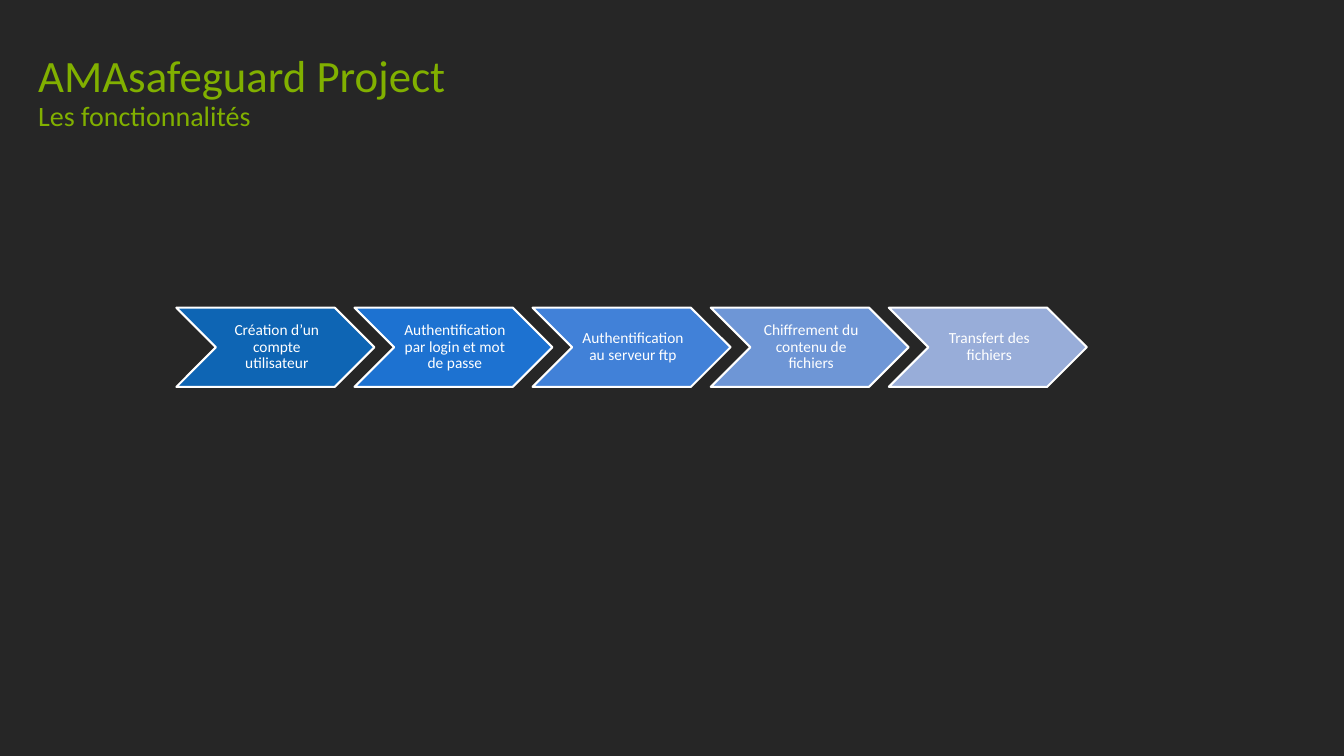
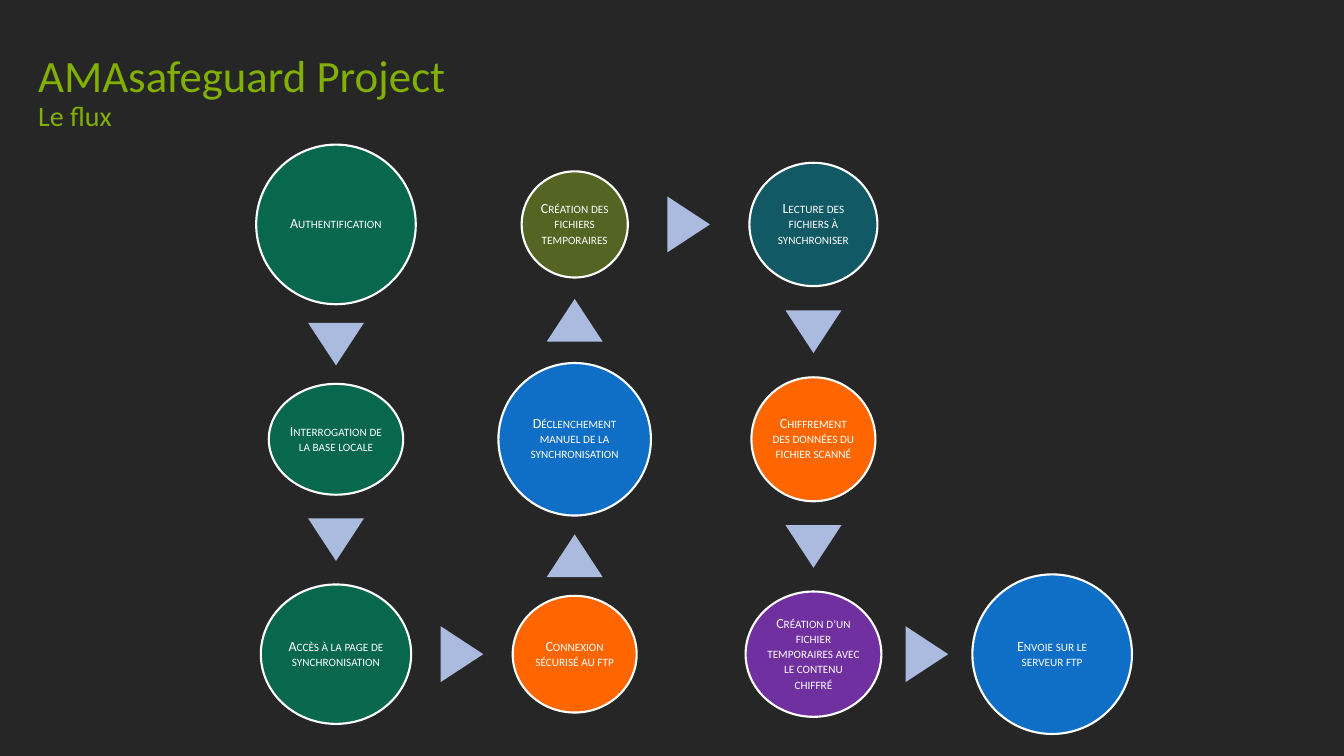
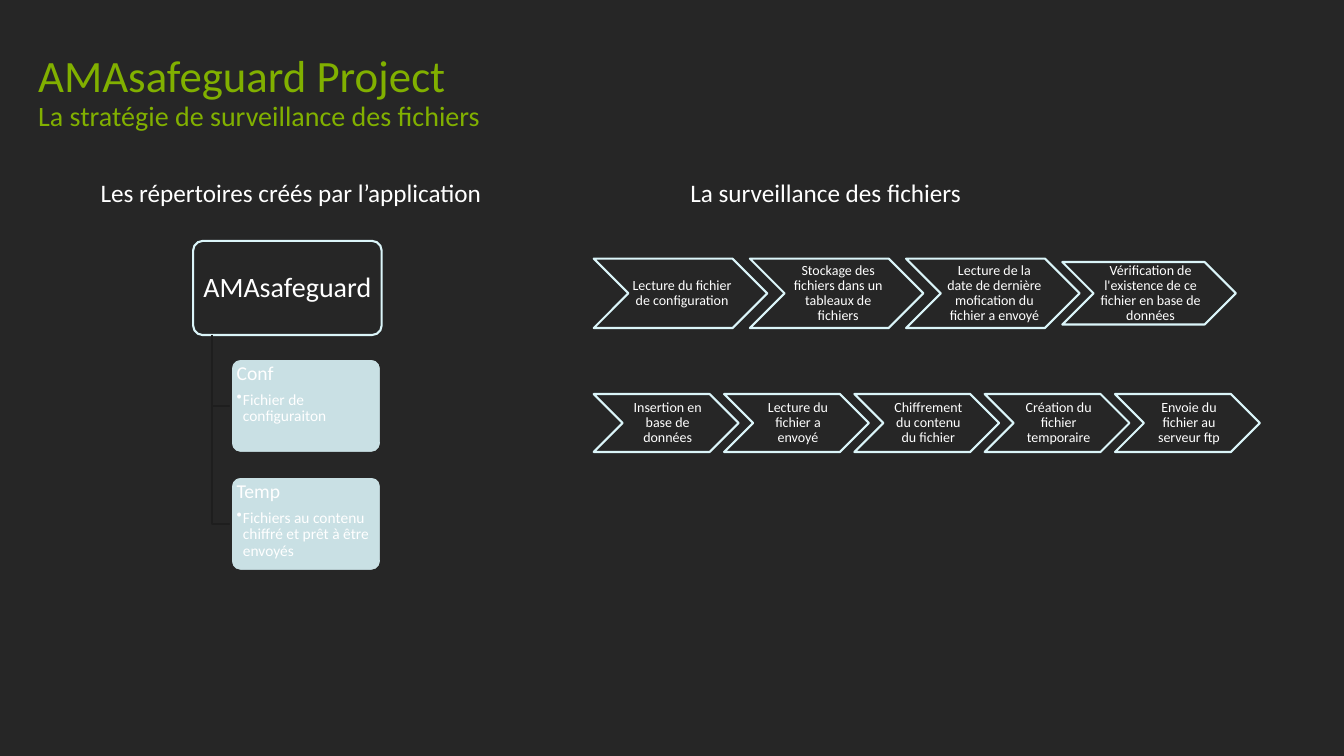
from dataclasses import dataclass
from lxml.etree import SubElement
from pptx import Presentation
from pptx.dml.color import RGBColor
from pptx.enum.shapes import MSO_SHAPE as Preset
from pptx.enum.text import MSO_ANCHOR as Anchor, PP_ALIGN as Align
from pptx.oxml.ns import qn
from pptx.oxml.xmlchemy import OxmlElement
from pptx.util import Pt


@dataclass(frozen=True)
class Theme:
    font: str = "Calibri"
    background: str = "262626"
    title: str = "81B000"
    white: str = "FFFFFF"
    ice: str = "DBF5F9"
    elbow: str = "1E1E1E"
    arrow: str = "ABBBDF"
    green: str = "08684E"
    orange: str = "FF6600"
    blue: str = "0F6FC6"
    olive: str = "546422"
    teal: str = "115964"
    purple: str = "7030A0"
    blues: tuple = ("0E65B4", "1D72D1", "4181D8", "6E96D6", "98ADD9")
    title_size: int = 32
    large_size: int = 20
    heading_size: int = 18
    folder_size: int = 14
    body_size: int = 11
    small_size: int = 10
    line_width: float = 1.5


theme = Theme()
presentation = Presentation()
presentation.slide_width, presentation.slide_height = Pt(960), Pt(540)
cell = presentation.slide_width // 80


def draw(slide, preset, center, size, fill, line=None):
    (x, y), (width, height) = center, size
    box = (x - width / 2, y - height / 2, width, height)
    shape = slide.shapes.add_shape(preset, *(round(cell * value) for value in box))
    shape.shadow.inherit = False
    shape.fill.solid()
    shape.fill.fore_color.rgb = RGBColor.from_string(fill)
    if line:
        shape.line.color.rgb = RGBColor.from_string(line)
        shape.line.width = Pt(theme.line_width)
    else:
        shape.line.fill.background()
    return shape


def write(shape, lines, insets, align=Align.CENTER, anchor=Anchor.MIDDLE, color=theme.white, spacing=0.9):
    frame = shape.text_frame
    frame.word_wrap = True
    frame.vertical_anchor = anchor
    left, right, vertical = (round(cell * inset) for inset in insets)
    frame.margin_left, frame.margin_right = left, right
    frame.margin_top = frame.margin_bottom = vertical
    for index, (text, size) in enumerate(lines):
        paragraph = frame.add_paragraph() if index else frame.paragraphs[0]
        paragraph.text = text
        paragraph.alignment = align
        paragraph.line_spacing = spacing
        paragraph.space_after = Pt(round(size * 0.35))
        paragraph.font.name = theme.font
        paragraph.font.size = Pt(size)
        paragraph.font.color.rgb = RGBColor.from_string(color)
    return frame.paragraphs


text_box_insets = (0.6, 0.6, 0.3)
slides = []
for subtitle in ("Les fonctionnalités", "Le flux", "La stratégie de surveillance des fichiers"):
    slide = presentation.slides.add_slide(presentation.slide_layouts[6])
    slide.background.fill.solid()
    slide.background.fill.fore_color.rgb = RGBColor.from_string(theme.background)
    title = slide.shapes.add_textbox(*(round(cell * value) for value in (1.68, 2.46, 38.8, 6.12)))
    paragraph = write(title, [("AMAsafeguard Project", theme.title_size)], text_box_insets,
                      align=Align.LEFT, color=theme.title)[0]
    paragraph.space_after = Pt(0)
    paragraph.add_line_break()
    run = paragraph.add_run()
    run.text = subtitle
    run.font.size = Pt(theme.large_size)
    slides.append(slide)
features_slide, flow_slide, watch_slide = slides

flow_columns = [20 + 14.21 * index for index in range(4)]
flow_rows = [13.36 + 12.79 * index for index in range(3)]
steps = [
    (0, 0, 9.5, 9.5, theme.green, "Authentification"),
    (0, 1, 8, 6.6, theme.green, "Interrogation de la base locale"),
    (0, 2, 8.95, 8.3, theme.green, "Accès à la page de synchronisation"),
    (1, 2, 7.38, 6.95, theme.orange, "Connexion sécurisé au ftp"),
    (1, 1, 9.08, 9.08, theme.blue, "Déclenchement manuel de la synchronisation"),
    (1, 0, 6.32, 6.32, theme.olive, "Création des fichiers temporaires"),
    (2, 0, 7.62, 7.34, theme.teal, "Lecture des fichiers à synchroniser"),
    (2, 1, 7.38, 7.38, theme.orange, "Chiffrement des données du fichier scanné"),
    (2, 2, 8.08, 7.46, theme.purple, "Création d’un fichier temporaires avec le contenu chiffré"),
    (3, 2, 9.5, 9.5, theme.blue, "Envoie sur le serveur ftp"),
]
rotations = {(0, 1): 180, (1, 0): 90, (0, -1): 0}
previous = None
for column, row, width, height, fill, text in steps:
    x, y = flow_columns[column], flow_rows[row]
    if previous:
        last_column, last_row, last_width, last_height = previous
        across, down = column - last_column, row - last_row
        middle = ((flow_columns[last_column] + x + across * (last_width - width) / 2) / 2,
                  (flow_rows[last_row] + y + down * (last_height - height) / 2) / 2)
        arrow = draw(flow_slide, Preset.ISOSCELES_TRIANGLE, middle, (3.33, 2.54), theme.arrow)
        arrow.rotation = rotations[across, down]
    circle = draw(flow_slide, Preset.OVAL, (x, y), (width, height), fill, theme.white)
    paragraph = write(circle, [(text, theme.small_size)], (0.06, 0.06, 0.06))[0]
    paragraph.runs[0]._r.get_or_add_rPr().set("cap", "small")
    previous = column, row, width, height

root_left, root_top, root_width, folder_height = 11.5, 14.34, 11.22, 5.6
folder_left, folder_width, folder_pitch = 13.74, 8.94, 7.02
root = draw(watch_slide, Preset.ROUNDED_RECTANGLE,
            (root_left + root_width / 2, root_top + folder_height / 2),
            (root_width, folder_height), theme.background, theme.ice)
root.adjustments[0] = 0.1
write(root, [("AMAsafeguard", theme.large_size)], (0.2, 0.2, 0.18))
folders = [("Conf", "Fichier de configuraiton"),
           ("Temp", "Fichiers au contenu chiffré et prêt à être envoyés")]
for index, (name, content) in enumerate(folders, 1):
    middle = root_top + index * folder_pitch + folder_height / 2
    trunk = root_left + root_width / 10
    start, corner, end = [(round(cell * x), round(cell * y)) for x, y in (
        (trunk, root_top + folder_height), (trunk, middle), (folder_left, middle))]
    builder = watch_slide.shapes.build_freeform(*start)
    builder.add_line_segments([corner, end], close=False)
    elbow = builder.convert_to_shape()
    elbow.shadow.inherit = False
    elbow.fill.background()
    elbow.line.color.rgb = RGBColor.from_string(theme.elbow)
    elbow.line.width = Pt(theme.line_width)

    folder = draw(watch_slide, Preset.ROUNDED_RECTANGLE, (folder_left + folder_width / 2, middle),
                  (folder_width, folder_height), theme.ice, theme.background)
    folder.adjustments[0] = 0.1
    color = folder._element.spPr.find(qn("a:solidFill")).find(qn("a:srgbClr"))
    SubElement(color, qn("a:alpha")).set("val", "90000")
    bullet = write(folder, [(name, theme.folder_size), (content, theme.body_size)],
                   (0.18, 0.18, 0.12), align=Align.LEFT, anchor=Anchor.TOP)[1]
    bullet.level = 1
    properties = bullet._p.get_or_add_pPr()
    indent = round(cell * 0.38)
    properties.set("marL", str(indent))
    properties.set("indent", str(-indent))
    mark = OxmlElement("a:buChar")
    mark.set("char", "•")
    properties.find(qn("a:defRPr")).addprevious(mark)

for left, heading in ((5.4, "Les répertoires créés par l’application"), (40.5, "La surveillance des fichiers")):
    box = watch_slide.shapes.add_textbox(*(round(cell * value) for value in (left, 10.26, 25.44, 2.4)))
    write(box, [(heading, theme.heading_size)], text_box_insets,
          align=Align.LEFT, anchor=Anchor.TOP, spacing=1.0)[0].space_after = Pt(0)

dark = (theme.background,) * 5
chevron_rows = [
    (features_slide, 10.5, 20.67, 11.78, theme.blues, theme.white, theme.body_size, (0.3, 0.12, 0.12),
     [("Création d’un compte utilisateur", 0.4),
      ("Authentification par login et mot de passe", 0.4),
      ("Authentification au serveur ftp", 0.4),
      ("Chiffrement du contenu de fichiers", 0.4),
      ("Transfert des fichiers", 0.4)]),
    (watch_slide, 35.34, 17.46, 10.33, dark, theme.ice, theme.small_size, (0.24, 0.06, 0.06),
     [("Lecture du fichier de configuration", 0.4),
      ("Stockage des fichiers dans un tableaux de fichiers", 0.4),
      ("Lecture de la date de dernière mofication du fichier a envoyé", 0.4),
      ("Vérification de l'existence de ce fichier en base de données", 0.36)]),
    (watch_slide, 35.34, 25.18, 8.62, dark, theme.ice, theme.small_size, (0.24, 0.06, 0.06),
     [("Insertion en base de données", 0.4),
      ("Lecture du fichier a envoyé", 0.4),
      ("Chiffrement du contenu du fichier", 0.4),
      ("Création du fichier temporaire", 0.4),
      ("Envoie du fichier au serveur ftp", 0.4)]),
]
for slide, left, middle, width, fills, line, size, insets, stages in chevron_rows:
    for index, (text, ratio) in enumerate(stages):
        center = (left + width * (0.5 + 0.9 * index), middle)
        chevron = draw(slide, Preset.CHEVRON, center, (width, width * ratio), fills[index], line)
        write(chevron, [(text, size)], insets)

presentation.save("out.pptx")
